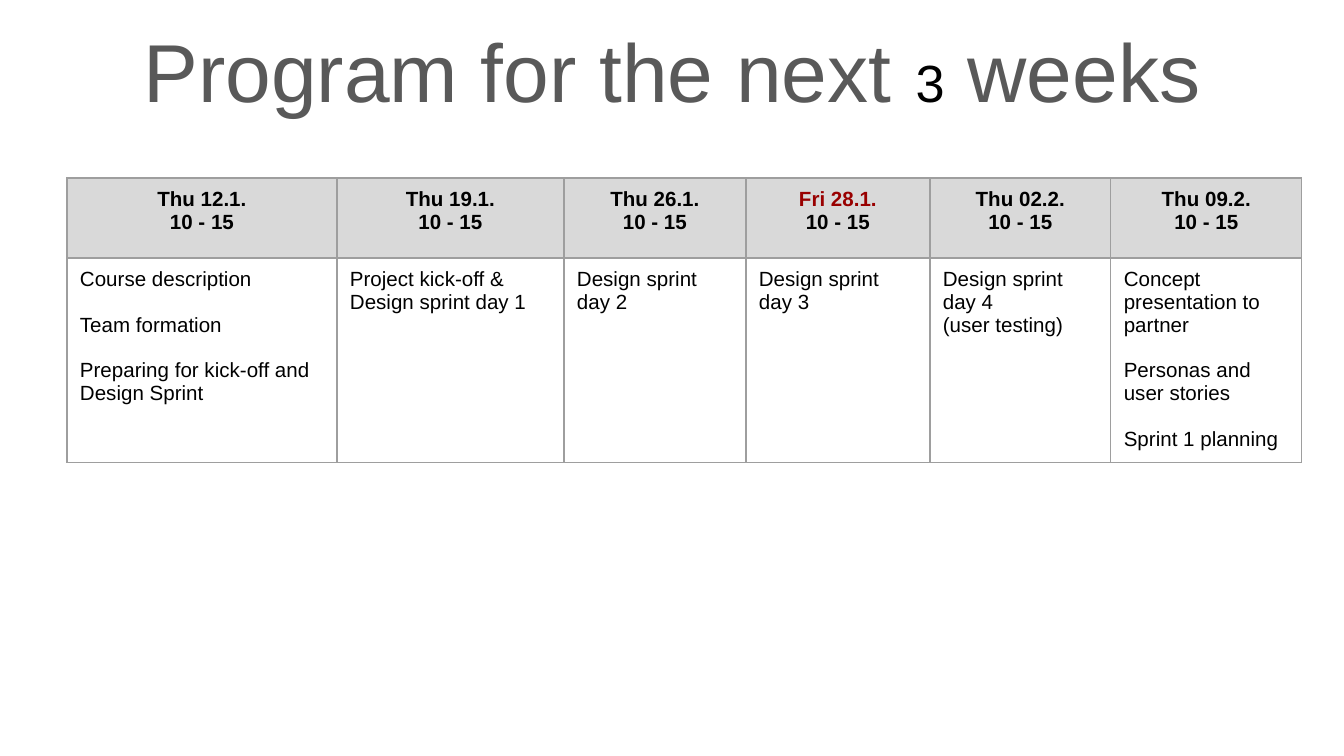
"""Build the course program slide."""
from dataclasses import dataclass

from lxml import etree
from pptx import Presentation
from pptx.dml.color import RGBColor
from pptx.enum import text
from pptx.oxml import ns
from pptx.util import Emu, Pt

SCALE = 914400 / 134.4


@dataclass(frozen=True)
class Theme:
    """Colours, font and type sizes of the slide."""
    font: str = "Arial"
    title: str = "595959"
    ink: str = "000000"
    accent: str = "990000"
    header: str = "D9D9D9"
    body: str = "FFFFFF"
    border: str = "9E9E9E"
    title_size: float = 44
    number_size: float = 28
    cell_size: float = 11
    gap: float = 12.2
    border_width: float = 0.75


@dataclass(frozen=True)
class Session:
    """One column: width in pixels, date, and groups of paragraphs."""
    width: int
    date: str
    topics: tuple[tuple[str, ...], ...]
    date_color: str = Theme.ink


THEME = Theme()
TIME = "10 - 15"
ROW_HEIGHTS = (80, 62, 62, 81)
SESSIONS = (
    Session(270, "Thu 12.1.", (("Course description",), ("Team formation",),
                               ("Preparing for kick-off and Design Sprint",))),
    Session(227, "Thu 19.1.", (("Project kick-off & Design sprint day 1",),)),
    Session(182, "Thu 26.1.", (("Design sprint day 2",),)),
    Session(184, "Fri 28.1.", (("Design sprint day 3",),), THEME.accent),
    Session(181, "Thu 02.2.", (("Design sprint day 4", "(user testing)"),)),
    Session(191, "Thu 09.2.", (("Concept presentation to partner",),
                               ("Personas and user stories",),
                               ("Sprint 1 planning",))),
)


def px(n: float) -> Emu:
    """Turn picture pixels into EMU."""
    return Emu(round(n * SCALE))


def set_all(obj, values: dict) -> None:
    """Set attributes from a dict of format values."""
    for name, value in values.items():
        setattr(obj, name, value)


def add_run(p, words: str, size: float, color: str, bold: bool = False) -> None:
    """Add a formatted run to a paragraph."""
    r = p.add_run()
    r.text = words
    set_all(r.font, {"name": THEME.font, "size": Pt(size), "bold": bold})
    r.font.color.rgb = RGBColor.from_string(color)


def format_cell(cell, fill: str) -> None:
    """Give a cell its fill, margins and borders."""
    set_all(cell, {"margin_left": px(13), "margin_right": px(13),
                   "margin_top": px(10), "margin_bottom": px(10),
                   "vertical_anchor": text.MSO_ANCHOR.TOP})
    tc_pr = cell._tc.get_or_add_tcPr()
    for side in ("lnL", "lnR", "lnT", "lnB"):
        ln = etree.SubElement(tc_pr, ns.qn(f"a:{side}"), w=str(Pt(THEME.border_width)))
        solid = etree.SubElement(ln, ns.qn("a:solidFill"))
        etree.SubElement(solid, ns.qn("a:srgbClr"), val=THEME.border)
    cell.fill.solid()
    cell.fill.fore_color.rgb = RGBColor.from_string(fill)


def fill_header(cell, session: Session) -> None:
    """Write the date and time of a session."""
    p = cell.text_frame.paragraphs[0]
    p.alignment = text.PP_ALIGN.CENTER
    add_run(p, session.date, THEME.cell_size, session.date_color, True)
    p.add_line_break()
    add_run(p, TIME, THEME.cell_size, THEME.ink, True)


def fill_topics(cell, session: Session) -> None:
    """Write the topics of a session with a gap between groups."""
    tf = cell.text_frame
    p = tf.paragraphs[0]
    for i, group in enumerate(session.topics):
        for j, line in enumerate(group):
            if i or j:
                p = tf.add_paragraph()
            if i and not j:
                p.space_before = Pt(THEME.gap)
            add_run(p, line, THEME.cell_size, THEME.ink)


def add_title(s) -> None:
    """Place and write the title."""
    sp = s.shapes.title
    set_all(sp, {"left": px(67), "top": px(23), "width": px(1210), "height": px(94)})
    tf = sp.text_frame
    set_all(tf, {"word_wrap": True, "auto_size": text.MSO_AUTO_SIZE.NONE,
                 "vertical_anchor": text.MSO_ANCHOR.MIDDLE})
    p = tf.paragraphs[0]
    p.alignment = text.PP_ALIGN.CENTER
    add_run(p, "Program for the next ", THEME.title_size, THEME.title)
    add_run(p, "3", THEME.number_size, THEME.ink)
    add_run(p, " weeks", THEME.title_size, THEME.title)


def add_program(s) -> None:
    """Draw the program table."""
    width = sum(session.width for session in SESSIONS)
    table = s.shapes.add_table(len(ROW_HEIGHTS), len(SESSIONS), px(67), px(178),
                               px(width), px(sum(ROW_HEIGHTS))).table
    set_all(table, {"first_row": False, "horz_banding": False})
    for row, height in zip(table.rows, ROW_HEIGHTS):
        row.height = px(height)
    last = len(ROW_HEIGHTS) - 1
    for c, session in enumerate(SESSIONS):
        table.columns[c].width = px(session.width)
        for r in range(len(ROW_HEIGHTS)):
            format_cell(table.cell(r, c), THEME.body if r else THEME.header)
        table.cell(1, c).merge(table.cell(last, c))
        fill_header(table.cell(0, c), session)
        fill_topics(table.cell(1, c), session)


def main() -> None:
    """Build and save the slide."""
    prs = Presentation()
    set_all(prs, {"slide_width": px(1344), "slide_height": px(756)})
    s = prs.slides.add_slide(prs.slide_layouts[5])
    add_title(s)
    add_program(s)
    prs.save("out.pptx")


main()
